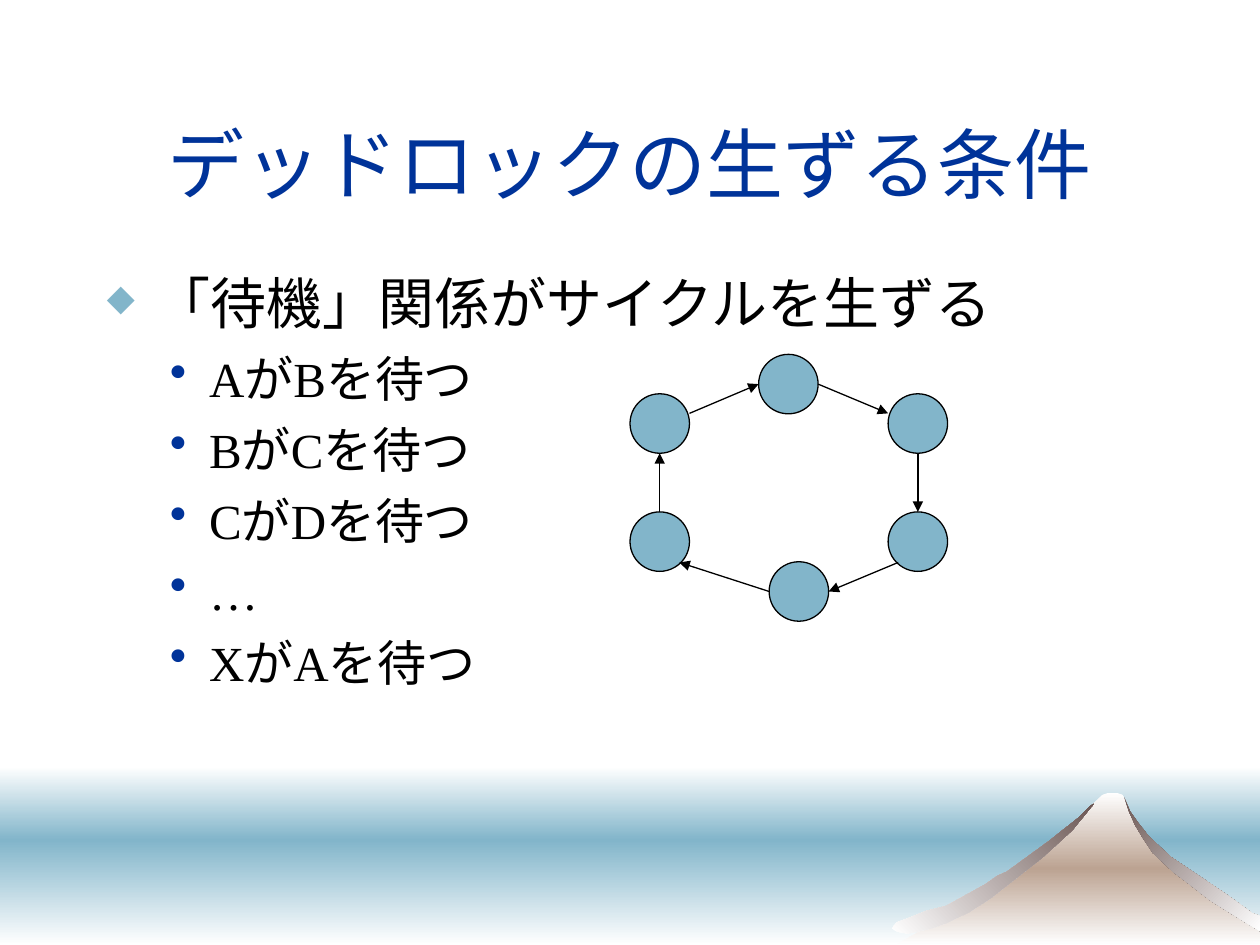
"""Build a slide on the conditions that produce a deadlock."""
from dataclasses import dataclass

from lxml import etree
from pptx import Presentation
from pptx.dml.color import RGBColor
from pptx.enum.shapes import MSO_CONNECTOR, MSO_SHAPE
from pptx.enum.text import MSO_ANCHOR, PP_ALIGN
from pptx.oxml.ns import qn
from pptx.util import Pt

RECTANGLE, OVAL = MSO_SHAPE.RECTANGLE, MSO_SHAPE.OVAL
STRAIGHT = MSO_CONNECTOR.STRAIGHT
MIDDLE, TOP = MSO_ANCHOR.MIDDLE, MSO_ANCHOR.TOP
CENTER = PP_ALIGN.CENTER

COLORS = {
    "sky": "82B5CA",
    "navy": "003399",
    "black": "000000",
    "white": "FFFFFF",
    "slope": "BCA392",
    "rock": "6B5653",
}
FONT = "Times New Roman"
DIAMETER = 34
LINE_WIDTH = 0.75

Point = tuple[float, float]


@dataclass
class Gradient:
    stops: dict[int, str]
    angle: int


@dataclass
class Band:
    top: float
    height: float
    gradient: Gradient


@dataclass
class Outline:
    points: list[Point]
    gradient: Gradient


@dataclass
class Level:
    depth: int
    margin: float
    hanging: float
    before: float
    size: float
    bullet: str
    bullet_color: str
    bullet_percent: int


@dataclass
class Wait:
    waiter: int
    start: Point
    holder: int
    end: Point


BANDS = [
    Band(438, 42, Gradient({0: "white", 100: "sky"}, 90)),
    Band(480, 60, Gradient({0: "sky", 100: "white"}, 90)),
]
MOUNTAIN = Outline(
    [(511.9, 540), (568.8, 507.6), (604.8, 479.5), (625.7, 458.6), (630, 454.3),
     (633.6, 452.9), (637.9, 452.9), (641.5, 454.3), (650.2, 473), (663.8, 489.6),
     (697, 512.6), (720, 527.8), (720, 540)],
    Gradient({0: "white", 50: "slope", 100: "white"}, 90),
)
RIGHT_RIDGE = Outline(
    [(658.8, 487.4), (670.3, 498.2), (682.6, 507.6), (686.2, 510.5), (691.9, 514.8),
     (712.8, 527.8), (720, 532.1), (720, 523.4), (715.7, 522), (704.9, 514.1),
     (699.8, 510.5), (668.9, 489.6), (656.6, 478.1), (650.9, 470.9), (645.8, 463.7),
     (642.2, 455), (645.1, 463.7), (648.7, 471.6), (653, 478.8)],
    Gradient({0: "rock", 100: "white"}, 45),
)
LEFT_RIDGE = Outline(
    [(599, 481), (575.3, 498.2), (570.2, 500.4), (563, 505.4), (540.7, 517.7),
     (529.2, 520.6), (518.4, 524.9), (512.6, 527), (510.5, 529.2), (509.8, 530.6),
     (511.9, 532.1), (514.1, 532.8), (518.4, 533.5), (525.6, 532.1), (532.1, 530.6),
     (540, 527.8), (553.7, 521.3), (561.6, 516.2), (565.9, 513.4), (595.4, 490.3),
     (612.7, 474.5), (622.1, 463), (625, 459.4), (622.8, 460.8), (616.3, 467.3)],
    Gradient({0: "white", 100: "rock"}, 315),
)

CONDITION = Level(0, 27, 27, 0, 32, "◆", "sky", 65)
EXAMPLE = Level(1, 58.5, 22.5, 7, 28, "•", "navy", 100)
BODY = [("「待機」関係がサイクルを生ずる", CONDITION)] + [
    (text, EXAMPLE)
    for text in ("AがBを待つ", "BがCを待つ", "CがDを待つ", "…", "XがAを待つ")
]

PROCESSES = [(360, 225), (433.5, 202.5), (507.5, 225),
             (507.5, 292.5), (439.5, 321), (360, 292.5)]
NORTH, SOUTH, WEST, EAST = (0.5, 0), (0.5, 1), (0, 0.5), (1, 0.5)
WAITS = [
    Wait(0, (1, 0.33), 1, WEST),
    Wait(1, EAST, 2, (0, 0.33)),
    Wait(2, SOUTH, 3, NORTH),
    Wait(3, (0.17, 0.85), 4, EAST),
    Wait(4, WEST, 5, (0.83, 0.85)),
    Wait(5, NORTH, 0, SOUTH),
]


def rgb(color: str) -> RGBColor:
    """Return the colour object of a palette entry."""
    return RGBColor.from_string(COLORS[color])


def apply_format(target, values: dict) -> None:
    """Set every attribute named in the format values."""
    for attribute, value in values.items():
        setattr(target, attribute, value)


def format_font(font, size: float, color: str) -> None:
    """Give text its typeface, size and colour."""
    apply_format(font, {"name": FONT, "size": Pt(size)})
    font.color.rgb = rgb(color)


def paint_gradient(shape, gradient: Gradient) -> None:
    """Fill a borderless scenery shape with a linear gradient."""
    shape.shadow.inherit = False
    shape.line.fill.background()
    shape.fill.gradient()
    shape.fill.gradient_angle = -gradient.angle % 360
    stop_list = shape.fill._xPr.find(qn("a:gradFill")).find(qn("a:gsLst"))
    for old_stop in list(stop_list):
        stop_list.remove(old_stop)
    for percent, color in gradient.stops.items():
        stop = etree.SubElement(stop_list, qn("a:gs"), pos=str(percent * 1000))
        etree.SubElement(stop, qn("a:srgbClr"), val=COLORS[color])


def draw_band(shapes, band: Band) -> None:
    """Draw a full-width band of the horizon."""
    strip = shapes.add_shape(RECTANGLE, Pt(0), Pt(band.top), Pt(720), Pt(band.height))
    paint_gradient(strip, band.gradient)


def draw_outline(shapes, outline: Outline) -> None:
    """Draw one closed part of the mountain."""
    first, *rest = [(Pt(x), Pt(y)) for x, y in outline.points]
    builder = shapes.build_freeform(*first)
    builder.add_line_segments(rest, close=True)
    paint_gradient(builder.convert_to_shape(), outline.gradient)


def write_item(paragraph, text: str, level: Level) -> None:
    """Write one bulleted item of the body."""
    properties = paragraph._p.get_or_add_pPr()
    apply_format(paragraph, {"level": level.depth, "space_before": Pt(level.before)})
    properties.set("marL", str(Pt(level.margin)))
    properties.set("indent", str(-Pt(level.hanging)))
    bullet_color = etree.SubElement(properties, qn("a:buClr"))
    etree.SubElement(bullet_color, qn("a:srgbClr"), val=COLORS[level.bullet_color])
    etree.SubElement(properties, qn("a:buSzPct"), val=str(level.bullet_percent * 1000))
    etree.SubElement(properties, qn("a:buChar"), char=level.bullet)
    run = paragraph.add_run()
    run.text = text
    format_font(run.font, level.size, "black")


def draw_process(shapes, position: Point) -> None:
    """Draw one process of the waiting cycle."""
    left, top = position
    process = shapes.add_shape(OVAL, Pt(left), Pt(top), Pt(DIAMETER), Pt(DIAMETER))
    process.shadow.inherit = False
    process.fill.solid()
    process.fill.fore_color.rgb = rgb("sky")
    process.line.color.rgb = rgb("black")
    process.line.width = Pt(LINE_WIDTH)


def draw_wait(shapes, wait: Wait) -> None:
    """Draw the arrow from a waiting process to the holder."""
    ends = [
        Pt(corner + DIAMETER * share)
        for index, site in ((wait.waiter, wait.start), (wait.holder, wait.end))
        for corner, share in zip(PROCESSES[index], site)
    ]
    arrow = shapes.add_connector(STRAIGHT, *ends)
    arrow.line.color.rgb = rgb("black")
    arrow.line.width = Pt(LINE_WIDTH)
    etree.SubElement(arrow.line._get_or_add_ln(), qn("a:tailEnd"), type="triangle")
    etree.SubElement(arrow._element.spPr, qn("a:effectLst"))


def main() -> None:
    """Assemble and save the slide."""
    deck = Presentation()
    apply_format(deck, {"slide_width": Pt(720), "slide_height": Pt(540)})
    slide = deck.slides.add_slide(deck.slide_layouts[5])
    shapes = slide.shapes
    for band in BANDS:
        draw_band(shapes, band)
    for outline in (MOUNTAIN, RIGHT_RIDGE, LEFT_RIDGE):
        draw_outline(shapes, outline)

    title = shapes.title
    apply_format(title, {"left": Pt(54), "top": Pt(48), "width": Pt(612), "height": Pt(90)})
    title.text_frame.text = "デッドロックの生ずる条件"
    apply_format(title.text_frame, {"vertical_anchor": MIDDLE, "word_wrap": True})
    heading = title.text_frame.paragraphs[0]
    heading.alignment = CENTER
    format_font(heading.runs[0].font, 44, "navy")

    body = shapes.add_textbox(Pt(54), Pt(150), Pt(612), Pt(324)).text_frame
    apply_format(body, {"word_wrap": True, "vertical_anchor": TOP})
    for index, (text, level) in enumerate(BODY):
        write_item(body.add_paragraph() if index else body.paragraphs[0], text, level)

    for position in PROCESSES:
        draw_process(shapes, position)
    for wait in WAITS:
        draw_wait(shapes, wait)
    deck.save("out.pptx")


if __name__ == "__main__":
    main()
